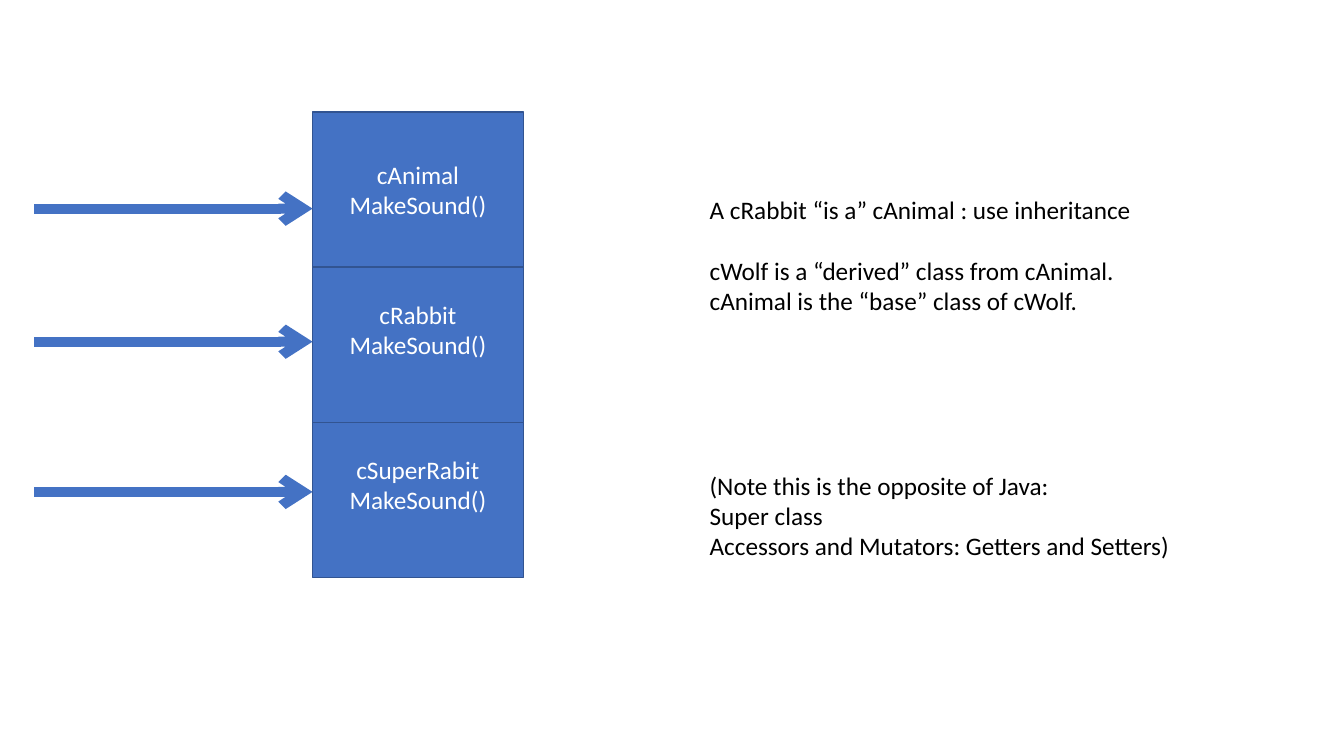
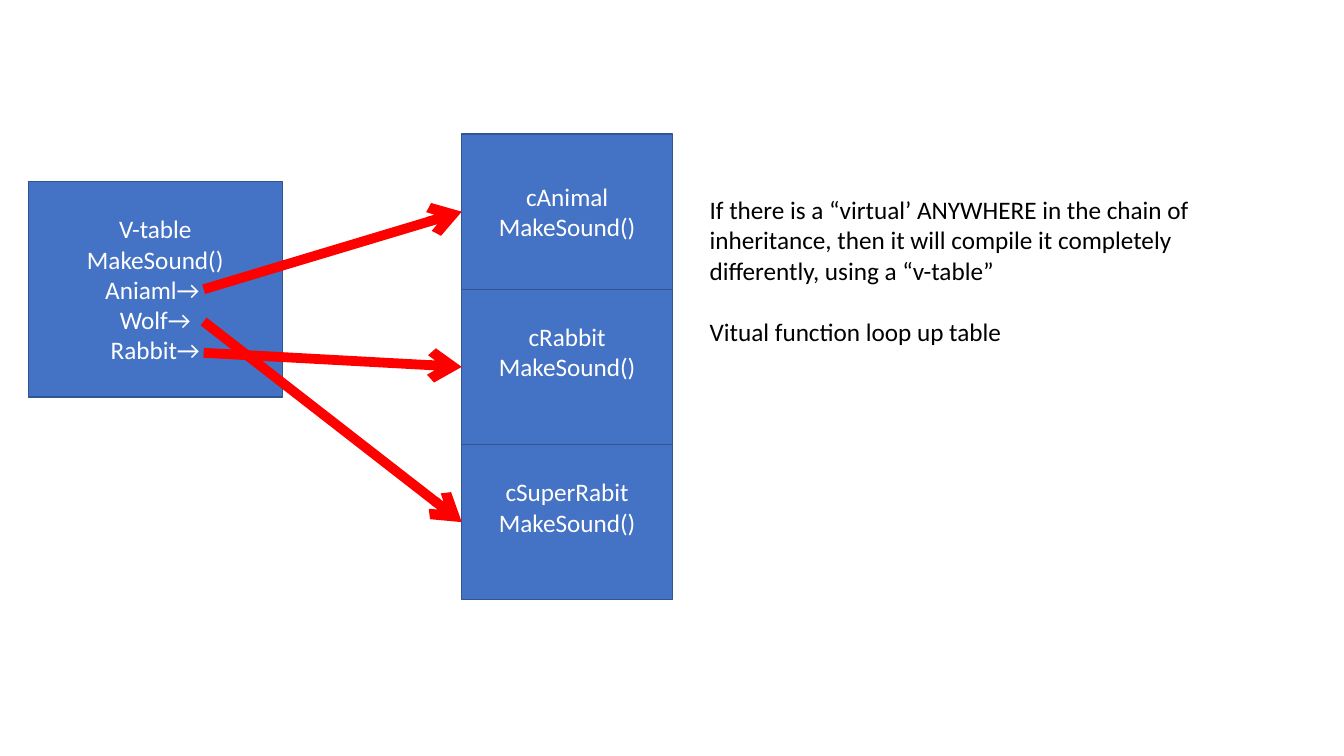
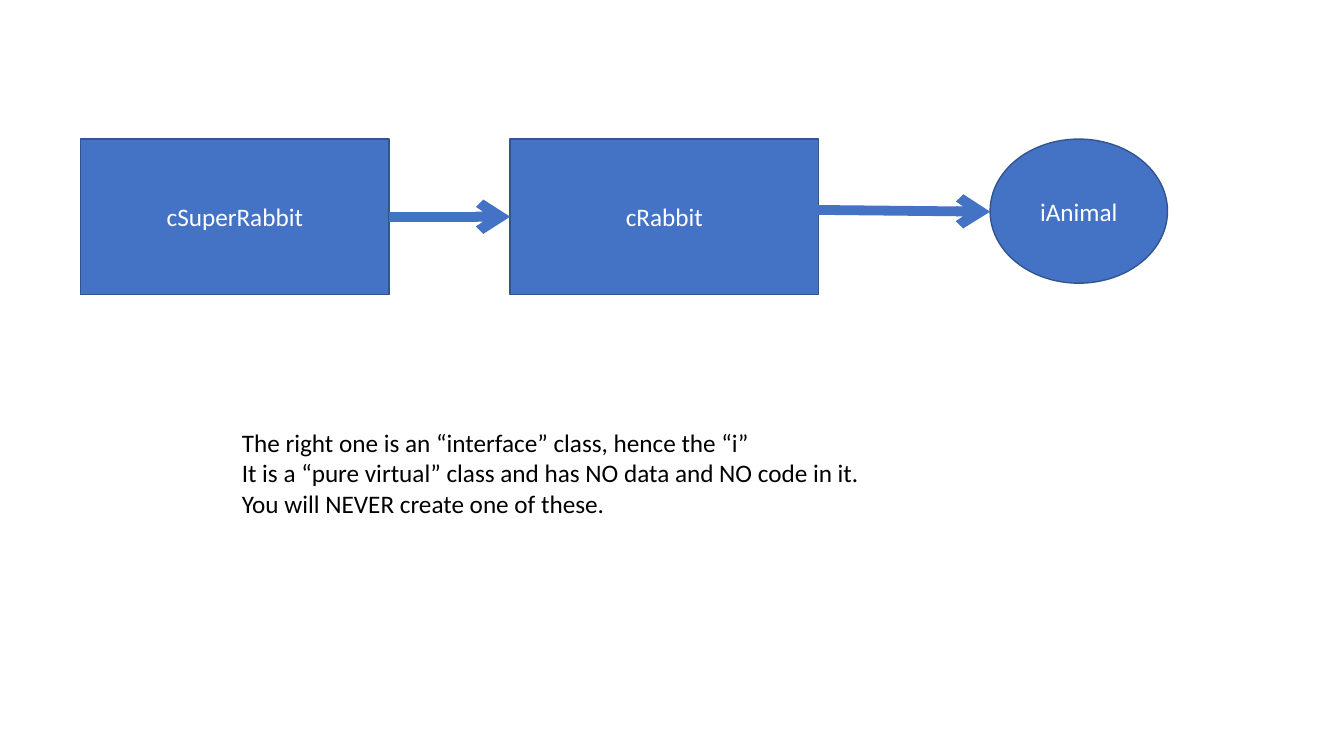
from lxml.etree import SubElement
from pptx import Presentation
from pptx.dml.color import RGBColor
from pptx.enum.shapes import MSO_CONNECTOR as Link, MSO_SHAPE as Kind
from pptx.enum.text import MSO_ANCHOR as Anchor, PP_ALIGN as Align
from pptx.oxml.ns import qn
from pptx.util import Inches, Pt

BLUE, EDGE, RED = "4472C4", "325491", "FF0000"
WHITE, BLACK = "FFFFFF", "000000"
FONT, SIZE, ROW = "Calibri", 18, 22
TALL = 1.54
STACK = [["cAnimal", "MakeSound()"],
         ["cRabbit", "MakeSound()"],
         ["cSuperRabit", "MakeSound()"]]


def tint(code):
    """Turn a hex string into a colour."""
    return RGBColor.from_string(code)


def write(frame, lines, color=BLACK, align=Align.LEFT, anchor=Anchor.TOP, gaps=None, foot=0.05):
    """Fill a frame with lines; gaps maps a line index to rows left free above it."""
    frame.word_wrap = True
    frame.vertical_anchor = anchor
    frame.margin_bottom = Inches(foot)
    for i, line in enumerate(lines):
        para = frame.paragraphs[0] if i == 0 else frame.add_paragraph()
        para.alignment = align
        para.space_before = Pt(ROW * (gaps or {}).get(i, 0))
        run = para.add_run()
        run.text = line
        run.font.name, run.font.size = FONT, Pt(SIZE)
        run.font.color.rgb = tint(color)


def node(slide, box, lines, kind=Kind.RECTANGLE, foot=0.05):
    """Draw a blue class shape with centred white text."""
    shape = slide.shapes.add_shape(kind, *map(Inches, box))
    shape.shadow.inherit = False
    shape.fill.solid()
    shape.fill.fore_color.rgb = tint(BLUE)
    shape.line.color.rgb = tint(EDGE)
    shape.line.width = Pt(1)
    write(shape.text_frame, lines, WHITE, Align.CENTER, Anchor.MIDDLE, foot=foot)


def note(slide, box, lines, gaps=None):
    """Place a block of plain text."""
    area = slide.shapes.add_textbox(*map(Inches, box))
    write(area.text_frame, lines, gaps=gaps)


def arrow(slide, start, end, color=BLUE):
    """Draw a thick line with an open arrowhead at its end."""
    line = slide.shapes.add_connector(Link.STRAIGHT, *map(Inches, (*start, *end)))
    line.line.color.rgb = tint(color)
    line.line.width = Pt(7)
    SubElement(line.line._get_or_add_ln(), qn("a:tailEnd"), type="arrow")
    SubElement(line._element.spPr, qn("a:effectLst"))


def stack(slide, left, top):
    """Pile up the three classes, the lower two with a free row below their text."""
    for i, lines in enumerate(STACK):
        foot = 0.35 if i else 0.05
        node(slide, (left, top + i * TALL, 2.09, TALL), lines, foot=foot)


def derive(slide):
    """Build the slide on inheritance."""
    note(slide, (6.94, 1.88, 5.4, 3.74),
         ["A cRabbit “is a” cAnimal : use inheritance ",
          "cWolf is a “derived” class from cAnimal.",
          "cAnimal is the “base” class of cWolf.",
          "(Note this is the opposite of Java:",
          "Super class",
          "Accessors and Mutators: Getters and Setters)"],
         gaps={1: 1, 3: 5})
    left = 3.1
    stack(slide, left, 1.11)
    for y in (2.07, 3.39, 4.88):
        arrow(slide, (0.34, y), (left, y))


def lookup(slide):
    """Build the slide on the v-table."""
    left, top = 4.58, 1.33
    stack(slide, left, top)
    note(slide, (6.94, 1.88, 5.4, 1.62),
         ["If there is a “virtual’ ANYWHERE in the chain of inheritance, "
          "then it will compile it completely differently, using a “v-table”",
          "Vitual function loop up table"],
         gaps={1: 1})
    node(slide, (0.28, 1.8, 2.52, 2.14),
         ["V-table", "MakeSound()", "Aniaml→ ", "Wolf→", "Rabbit→"])
    for i, y in enumerate((2.87, 3.5, 3.19)):
        arrow(slide, (2.02, y), (left, top + (i + 0.5) * TALL), RED)


def pure(slide):
    """Build the slide on the interface class."""
    top, wide = 1.38, 3.06
    mid = top + TALL / 2
    node(slide, (5.06, top, wide, TALL), ["cRabbit"])
    node(slide, (0.8, top, wide, TALL), ["cSuperRabbit"])
    note(slide, (2.3, 4.19, 7.38, 1.31),
         ["The right one is an “interface” class, hence the “i” ",
          "It is a “pure virtual” class and has NO data and NO code in it. ",
          "You will NEVER create one of these. "])
    arrow(slide, (0.8 + wide, mid), (5.06, mid))
    node(slide, (9.82, top, 1.76, 1.43), ["iAnimal"], Kind.OVAL)
    arrow(slide, (7.85, 2.08), (9.82, 2.1))


deck = Presentation()
deck.slide_width, deck.slide_height = Inches(13.33), Inches(7.5)
for build in (derive, lookup, pure):
    build(deck.slides.add_slide(deck.slide_layouts[6]))
deck.save("out.pptx")
